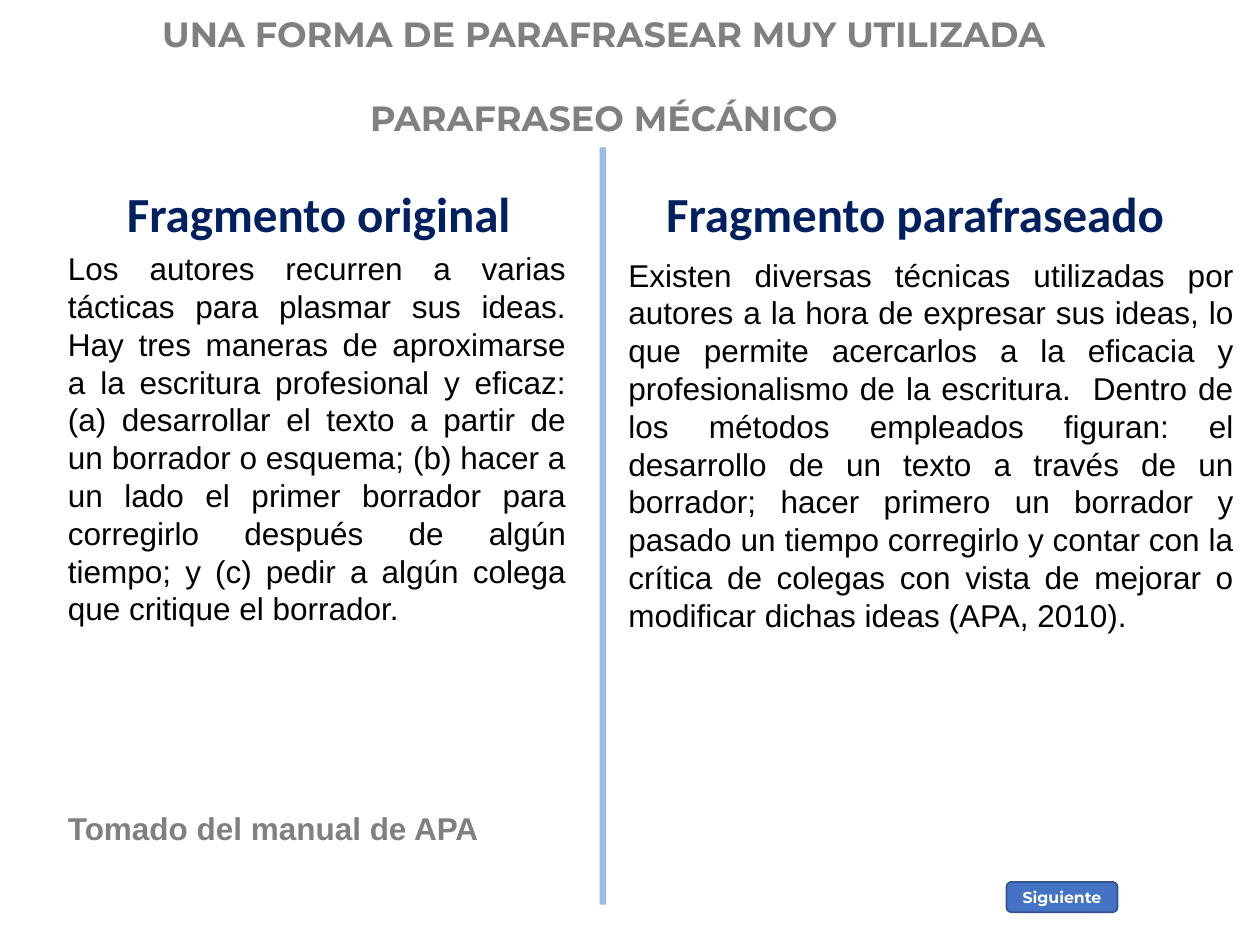
from dataclasses import dataclass
from typing import Optional

from pptx import Presentation
from pptx.dml.color import RGBColor
from pptx.enum.shapes import MSO_SHAPE as Preset
from pptx.enum.text import MSO_ANCHOR as Anchor, MSO_AUTO_SIZE as AutoSize, PP_ALIGN as Align
from pptx.util import Cm, Pt

COLORS = {
    "black": "000000", "gray": "808080", "navy": "002060", "white": "FFFFFF",
    "divider": "98BDE3", "button": "4472C4", "button_line": "325491",
}


@dataclass(frozen=True)
class Style:
    font: str
    size: float
    color: str
    bold: bool = False


@dataclass(frozen=True)
class Line:
    text: str
    style: Style
    align: Align = Align.LEFT
    space_before: float = 0


@dataclass(frozen=True)
class Box:
    left: float
    top: float
    width: float
    height: float
    lines: tuple[Line, ...]
    wrap: bool = False


@dataclass(frozen=True)
class Block:
    preset: Preset
    left: float
    top: float
    width: float
    height: float
    fill: str
    outline: Optional[str] = None
    label: Optional[Line] = None


TITLE = Style("Montserrat", 20, "gray", True)
HEADING = Style("Calibri", 28, "navy", True)
BODY = Style("Arial", 18, "black")
SOURCE = Style("Arial", 18, "gray", True)
BUTTON = Style("Montserrat", 9, "white", True)

ORIGINAL_TEXT = (
    "Los autores recurren a varias tácticas para plasmar sus ideas. Hay tres maneras de "
    "aproximarse a la escritura profesional y eficaz: (a) desarrollar el texto a partir de un "
    "borrador o esquema; (b) hacer a un lado el primer borrador para corregirlo después de "
    "algún tiempo; y (c) pedir a algún colega que critique el borrador."
)
PARAPHRASED_TEXT = (
    "Existen diversas técnicas utilizadas por autores a la hora de expresar sus ideas, lo que "
    "permite acercarlos a la eficacia y profesionalismo de la escritura.  Dentro de los métodos "
    "empleados figuran: el desarrollo de un texto a través de un borrador; hacer primero un "
    "borrador y pasado un tiempo corregirlo y contar con la crítica de colegas con vista de "
    "mejorar o modificar dichas ideas (APA, 2010)."
)

BOXES = (
    Box(1.12, 4.9, 10.54, 12.45, (
        Line(ORIGINAL_TEXT, BODY, Align.JUSTIFY),
        Line("Tomado del manual de APA", SOURCE, Align.JUSTIFY, 104),
    ), wrap=True),
    Box(12.42, 5.03, 12.7, 7.95, (Line(PARAPHRASED_TEXT, BODY, Align.JUSTIFY),), wrap=True),
    Box(2.31, 3.58, 8.33, 1.45, (Line("Fragmento original", HEADING),)),
    Box(13.18, 3.58, 10.67, 1.45, (Line("Fragmento parafraseado", HEADING),)),
    Box(3.02, 0.13, 19.25, 2.82, (
        Line("UNA FORMA DE PARAFRASEAR MUY UTILIZADA", TITLE),
        Line("PARAFRASEO MÉCÁNICO", TITLE, Align.CENTER, 24),
    )),
)
BLOCKS = (
    Block(Preset.RECTANGLE, 12.09, 2.97, 0.13, 15.27, "divider"),
    Block(Preset.ROUNDED_RECTANGLE, 20.29, 17.78, 2.24, 0.61, "button", "button_line",
          Line("Siguiente", BUTTON, Align.CENTER)),
)


def rgb(name: str) -> RGBColor:
    return RGBColor.from_string(COLORS[name])


def set_attributes(target, values: dict) -> None:
    for name, value in values.items():
        setattr(target, name, value)


def write_line(paragraph, line: Line) -> None:
    set_attributes(paragraph, {"alignment": line.align})
    if line.space_before:
        paragraph.space_before = Pt(line.space_before)
    run = paragraph.add_run()
    run.text = line.text
    style = line.style
    set_attributes(run.font, {"name": style.font, "size": Pt(style.size), "bold": style.bold})
    run.font.color.rgb = rgb(style.color)


def draw_box(slide, box: Box) -> None:
    shape = slide.shapes.add_textbox(Cm(box.left), Cm(box.top), Cm(box.width), Cm(box.height))
    frame = shape.text_frame
    set_attributes(frame, {"word_wrap": box.wrap, "auto_size": AutoSize.SHAPE_TO_FIT_TEXT})
    for index, line in enumerate(box.lines):
        write_line(frame.add_paragraph() if index else frame.paragraphs[0], line)


def draw_block(slide, block: Block) -> None:
    shape = slide.shapes.add_shape(
        block.preset, Cm(block.left), Cm(block.top), Cm(block.width), Cm(block.height))
    shape.shadow.inherit = False
    shape.fill.solid()
    shape.fill.fore_color.rgb = rgb(block.fill)
    if block.outline:
        shape.line.color.rgb = rgb(block.outline)
        shape.line.width = Pt(1)
    else:
        shape.line.fill.background()
    if block.label:
        shape.text_frame.vertical_anchor = Anchor.MIDDLE
        write_line(shape.text_frame.paragraphs[0], block.label)


def main() -> None:
    presentation = Presentation()
    set_attributes(presentation, {"slide_width": Cm(25.4), "slide_height": Cm(19.05)})
    slide = presentation.slides.add_slide(presentation.slide_layouts[6])
    for box in BOXES:
        draw_box(slide, box)
    for block in BLOCKS:
        draw_block(slide, block)
    presentation.save("out.pptx")


if __name__ == "__main__":
    main()
